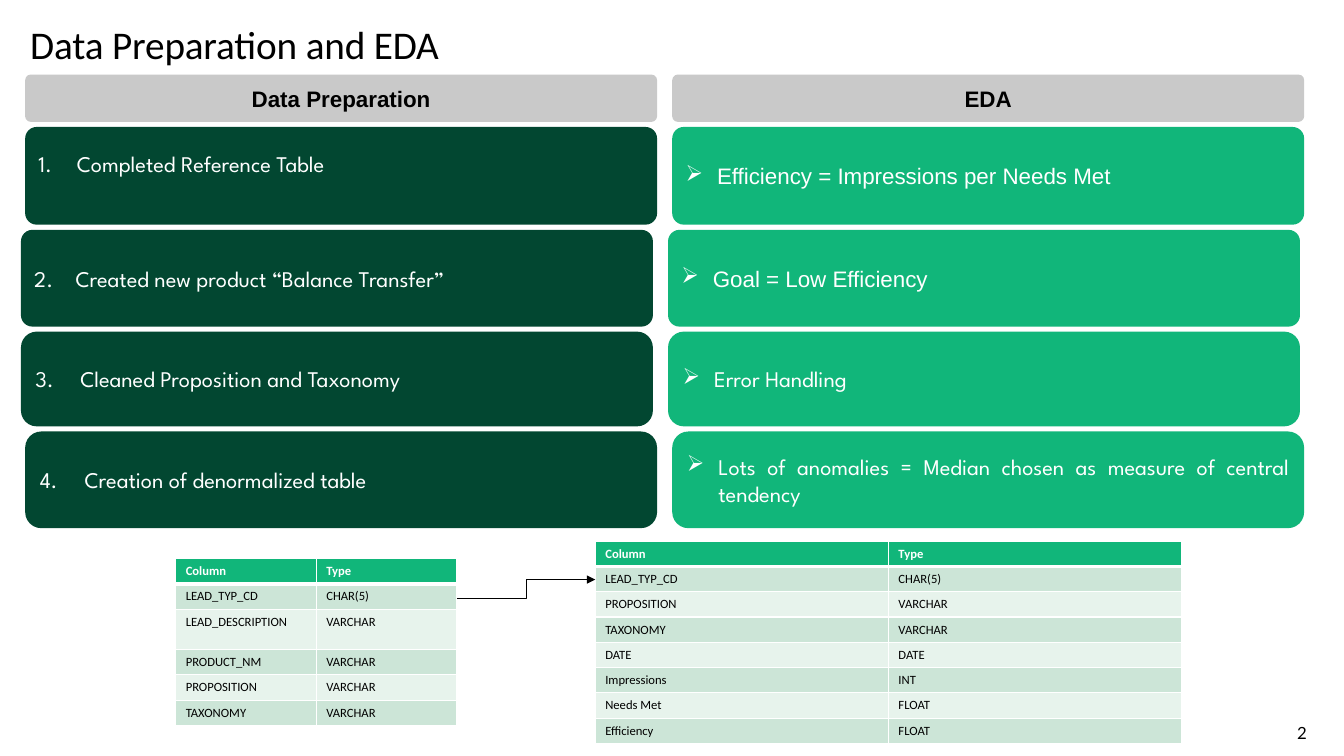
from lxml import etree
from pptx import Presentation
from pptx.dml.color import RGBColor
from pptx.enum.shapes import MSO_CONNECTOR, MSO_SHAPE
from pptx.enum.text import MSO_ANCHOR, MSO_AUTO_SIZE, PP_ALIGN
from pptx.oxml.ns import qn
from pptx.util import Pt

ROUNDED, ELBOW = MSO_SHAPE.ROUNDED_RECTANGLE, MSO_CONNECTOR.ELBOW
MIDDLE, NO_FIT = MSO_ANCHOR.MIDDLE, MSO_AUTO_SIZE.NONE
LEFT, CENTER, JUSTIFY = PP_ALIGN.LEFT, PP_ALIGN.CENTER, PP_ALIGN.JUSTIFY

BLACK, WHITE, GRAY = "000000", "FFFFFF", "C9C9C9"
DARK, GREEN = "024731", "11B67A"
BANDS = ("CCE5D7", "E7F3EC")
SPARTAN = "League Spartan"
PANEL_WIDTH = 451.4
COLUMN_LEFT = 18
COLUMN_STEP = 462.2

ROWS = [(90.7, 0, 69.8, 0.118), (164.2, -3, 69.1, 0.118),
        (236.9, -3, 67.7, 0.167), (308.2, 0, 69.1, 0.167)]
STEPS = [("Completed Reference Table", 27.4, 20.6),
         ("Created new product “Balance Transfer”", 29.5, 3.6),
         ("Cleaned Proposition and Taxonomy", 32, 3.6),
         ("Creation of denormalized table", 32, 3.6)]
FINDINGS = [("Efficiency = Impressions per Needs Met", "Arial"),
            ("Goal = Low Efficiency", "Arial"),
            ("Error Handling", SPARTAN),
            ("Lots of anomalies = Median chosen as measure of central tendency",
             SPARTAN)]
REFERENCE = [("Column", "Type"), ("LEAD_TYP_CD", "CHAR(5)"),
             ("LEAD_DESCRIPTION", "VARCHAR"), ("PRODUCT_NM", "VARCHAR"),
             ("PROPOSITION", "VARCHAR"), ("TAXONOMY", "VARCHAR")]
DENORMALIZED = [("Column", "Type"), ("LEAD_TYP_CD", "CHAR(5)"),
                ("PROPOSITION", "VARCHAR"), ("TAXONOMY", "VARCHAR"),
                ("DATE", "DATE"), ("Impressions", "INT"),
                ("Needs Met", "FLOAT"), ("Efficiency", "FLOAT")]


def rgb(color):
    """Turn a hex string into a colour."""
    return RGBColor.from_string(color)


def add_run(p, text, size, font, color, bold=False, spacing=None):
    """Add one formatted run to a paragraph."""
    r = p.add_run()
    r.text = text
    r.font.size, r.font.name, r.font.bold = Pt(size), font, bold
    r.font.color.rgb = rgb(color)
    if spacing is not None:
        r._r.get_or_add_rPr().set("spc", str(spacing))


def set_bullet(p, indent, tag, **attributes):
    """Give a paragraph a hanging bullet or number."""
    pPr = p._p.get_or_add_pPr()
    pPr.set("marL", str(Pt(indent)))
    pPr.set("indent", str(-Pt(indent)))
    etree.SubElement(pPr, qn(tag), attributes)


def set_margins(tf, left, top, right, bottom):
    """Set the insets of a text frame."""
    tf.margin_left, tf.margin_top = Pt(left), Pt(top)
    tf.margin_right, tf.margin_bottom = Pt(right), Pt(bottom)


def add_title(s, text):
    """Place and fill the title placeholder."""
    sp = s.shapes.title
    sp.left, sp.top, sp.width, sp.height = Pt(18.7), Pt(17.3), Pt(434), Pt(33.8)
    tf = sp.text_frame
    tf.auto_size, tf.vertical_anchor = NO_FIT, MIDDLE
    set_margins(tf, 2.9, 2.9, 2.9, 2.9)
    p = tf.paragraphs[0]
    p.alignment, p.line_spacing = LEFT, Pt(28)
    add_run(p, text, 28, "Calibri", BLACK, spacing=-10)


def add_panel(s, left, top, height, adjust, fill, align, bottom=3.6):
    """Add a rounded panel and return its first paragraph."""
    sp = s.shapes.add_shape(ROUNDED, Pt(left), Pt(top), Pt(PANEL_WIDTH), Pt(height))
    sp.adjustments[0] = adjust
    sp.shadow.inherit = False
    sp.fill.solid()
    sp.fill.fore_color.rgb = rgb(fill)
    sp.line.fill.background()
    tf = sp.text_frame
    tf.word_wrap, tf.vertical_anchor = True, MIDDLE
    set_margins(tf, 7.2, 3.6, 7.2, bottom)
    p = tf.paragraphs[0]
    p.alignment = align
    return p


def add_heading(s, left, text):
    """Add the gray heading of a column."""
    p = add_panel(s, left, 53.3, 33.8, 0.118, GRAY, CENTER)
    add_run(p, text, 16, "Arial", BLACK, bold=True)


def add_steps(s, left):
    """Add the numbered panels."""
    for i, ((top, shift, height, adjust), (text, indent, bottom)) in enumerate(
            zip(ROWS, STEPS), 1):
        p = add_panel(s, left + shift, top, height, adjust, DARK, JUSTIFY, bottom)
        set_bullet(p, indent, "a:buAutoNum", type="arabicPeriod", startAt=str(i))
        add_run(p, text, 16, SPARTAN, WHITE)


def add_findings(s, left):
    """Add the bulleted panels."""
    for (top, shift, height, adjust), (text, font) in zip(ROWS, FINDINGS):
        p = add_panel(s, left + shift, top, height, adjust, GREEN, JUSTIFY)
        set_bullet(p, 22.5, "a:buChar", char="➢")
        add_run(p, text, 16, font, WHITE)


def set_borders(cell, top, bottom):
    """Draw white borders round a cell."""
    tcPr = cell._tc.get_or_add_tcPr()
    widths = {"a:lnL": 1, "a:lnR": 1, "a:lnT": top, "a:lnB": bottom}
    for i, (tag, width) in enumerate(widths.items()):
        ln = etree.Element(qn(tag), w=str(Pt(width)))
        fill = etree.SubElement(ln, qn("a:solidFill"))
        etree.SubElement(fill, qn("a:srgbClr"), val=WHITE)
        tcPr.insert(i, ln)


def add_schema(s, left, top, column_width, heights, rows):
    """Add a banded table of column names and types."""
    table = s.shapes.add_table(len(rows), 2, Pt(left), Pt(top),
                               Pt(2 * column_width), Pt(sum(heights))).table
    for column in table.columns:
        column.width = Pt(column_width)
    for i, (texts, height) in enumerate(zip(rows, heights)):
        table.rows[i].height = Pt(height)
        header = i == 0
        for j, text in enumerate(texts):
            cell = table.cell(i, j)
            cell.fill.solid()
            cell.fill.fore_color.rgb = rgb(GREEN if header else BANDS[(i - 1) % 2])
            set_borders(cell, 3 if i == 1 else 1, 3 if header else 1)
            add_run(cell.text_frame.paragraphs[0], text, 9, "Calibri",
                    WHITE if header else BLACK, bold=header)


def add_arrow(s, x1, y1, x2, y2):
    """Add an elbow arrow."""
    c = s.shapes.add_connector(ELBOW, Pt(x1), Pt(y1), Pt(x2), Pt(y2))
    c.line.color.rgb = rgb(BLACK)
    c.line.width = Pt(0.75)
    etree.SubElement(c.line._get_or_add_ln(), qn("a:tailEnd"), type="triangle")
    etree.SubElement(c._element.spPr, qn("a:effectLst"))


def add_page_number(s, text):
    """Add the page number."""
    sp = s.shapes.add_textbox(Pt(915.8), Pt(516.2), Pt(32.4), Pt(14.4))
    tf = sp.text_frame
    tf.word_wrap = True
    set_margins(tf, 10.8, 0, 0, 0)
    p = tf.paragraphs[0]
    p.line_spacing = Pt(14.2)
    add_run(p, text, 12, "Lato", BLACK, spacing=-50)


def main():
    """Build the slide."""
    prs = Presentation()
    prs.slide_width, prs.slide_height = Pt(960), Pt(540)
    s = prs.slides.add_slide(prs.slide_layouts[5])
    right = COLUMN_LEFT + COLUMN_STEP
    add_title(s, "Data Preparation and EDA")
    add_steps(s, COLUMN_LEFT)
    add_page_number(s, "2")
    add_heading(s, COLUMN_LEFT, "Data Preparation")
    add_findings(s, right)
    add_heading(s, right, "EDA")
    add_schema(s, 125.5, 399.1, 100.4, [18, 18, 28.8, 18, 18, 18], REFERENCE)
    add_schema(s, 425.2, 386.6, 209.4, [18] * len(DENORMALIZED), DENORMALIZED)
    add_arrow(s, 326.3, 427.8, 425.2, 414)
    prs.save("out.pptx")


if __name__ == "__main__":
    main()
